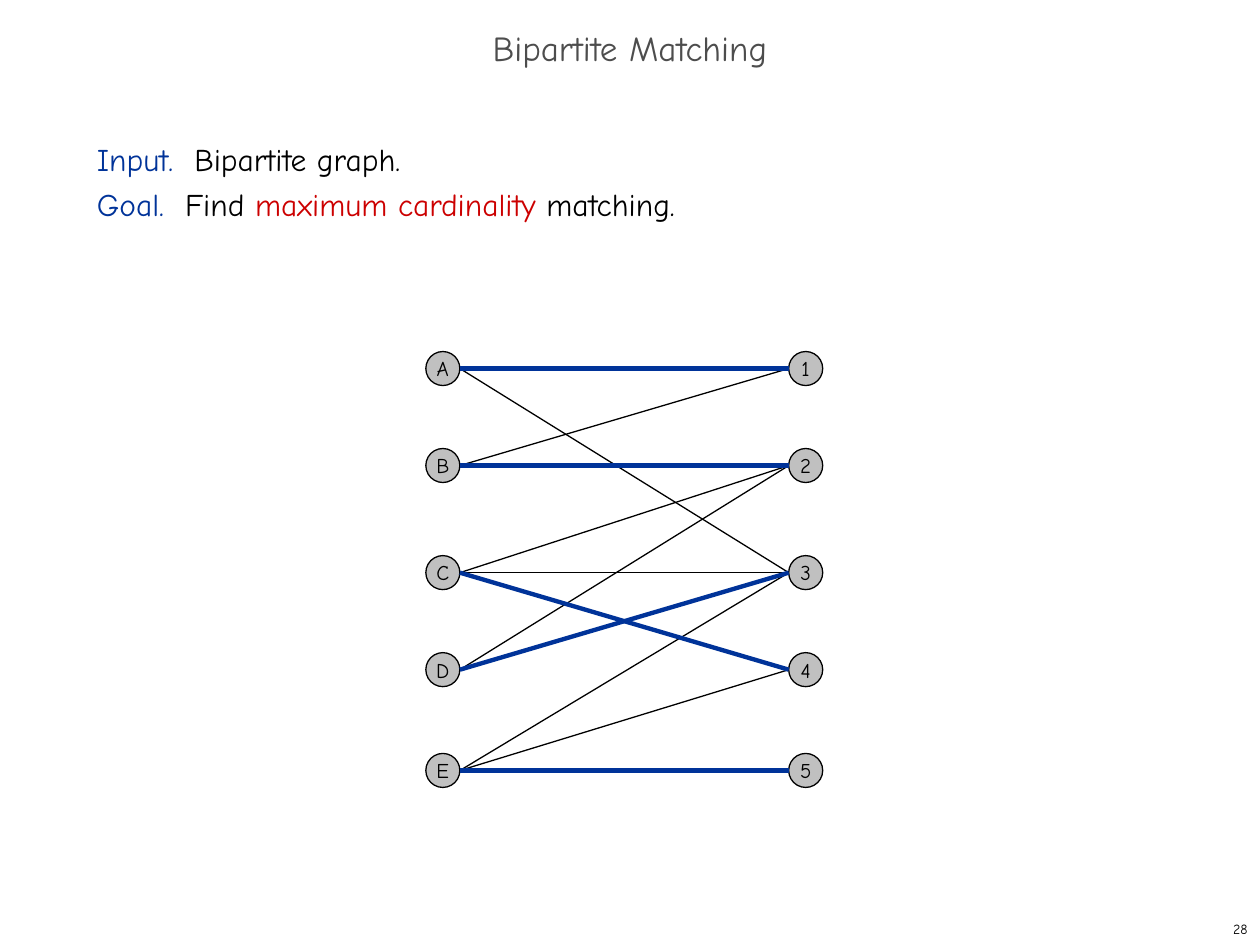
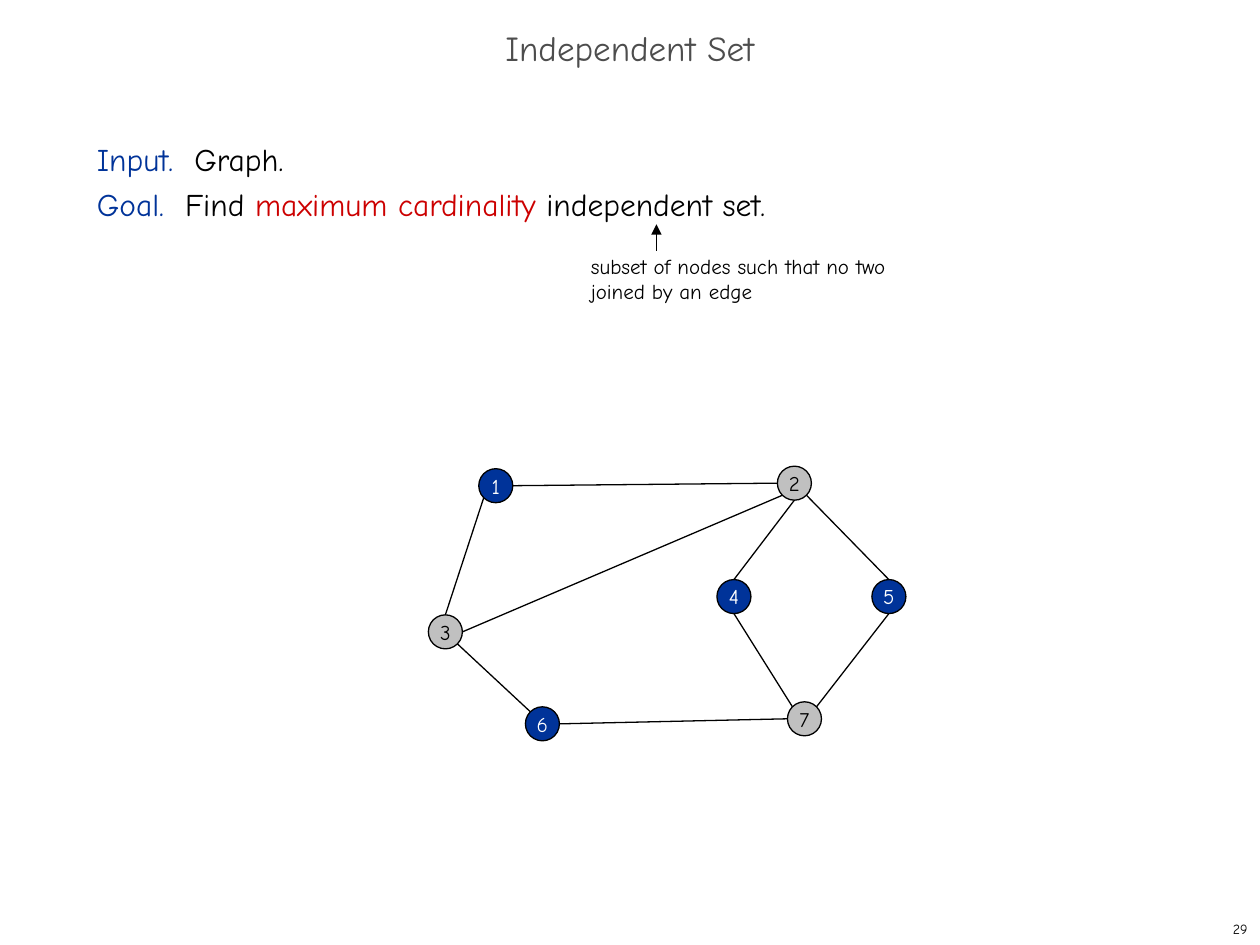
from lxml import etree
from pptx import Presentation
from pptx.dml.color import RGBColor
from pptx.enum.shapes import MSO_CONNECTOR, MSO_SHAPE
from pptx.enum.text import MSO_ANCHOR, PP_ALIGN
from pptx.oxml.ns import qn
from pptx.util import Inches, Pt

FONT = "Comic Neue"
BLACK = RGBColor(0x00, 0x00, 0x00)
WHITE = RGBColor(0xFF, 0xFF, 0xFF)
BLUE = RGBColor(0x00, 0x33, 0x99)
RED = RGBColor(0xCC, 0x00, 0x00)
DARK_GRAY = RGBColor(0x4D, 0x4D, 0x4D)
NODE_GRAY = RGBColor(0xC0, 0xC0, 0xC0)

NODE_SIZE = 0.27
DIAGONAL = 0.71
SITES = {
    "top": (0, -1),
    "left": (-1, 0),
    "bottom": (0, 1),
    "right": (1, 0),
    "top left": (-DIAGONAL, -DIAGONAL),
    "top right": (DIAGONAL, -DIAGONAL),
    "bottom left": (-DIAGONAL, DIAGONAL),
    "bottom right": (DIAGONAL, DIAGONAL),
}


def style_runs(para, size, color):
    for span in para.runs:
        span.font.name = FONT
        span.font.size = Pt(size)
        span.font.color.rgb = color


def add_text(page, left, top, width, height, text, size, color=BLACK,
             align=PP_ALIGN.LEFT, anchor=MSO_ANCHOR.MIDDLE):
    box = page.shapes.add_textbox(Inches(left), Inches(top), Inches(width), Inches(height))
    frame = box.text_frame
    frame.word_wrap = True
    frame.vertical_anchor = anchor
    frame.text = text
    for para in frame.paragraphs:
        para.alignment = align
        style_runs(para, size, color)
    return frame


def add_problem(page, graph_kind, target):
    frame = add_text(page, 0.67, 1, 8.58, 5.92, "", 18, anchor=MSO_ANCHOR.TOP)
    lines = [
        [("Input.  ", BLUE), (graph_kind, BLACK)],
        [("Goal.  ", BLUE), ("Find ", BLACK), ("maximum cardinality", RED), (target, BLACK)],
    ]
    for index, line in enumerate(lines):
        para = frame.add_paragraph() if index else frame.paragraphs[0]
        para.line_spacing = Pt(26)
        for text, color in line:
            span = para.add_run()
            span.text = text
            span.font.name = FONT
            span.font.size = Pt(18)
            span.font.color.rgb = color


def add_page(deck, title, number, graph_kind, target):
    page = deck.slides.add_slide(deck.slide_layouts[6])
    frame = add_text(page, 0, 0.17, 10, 0.5, title, 20, DARK_GRAY, PP_ALIGN.CENTER)
    frame.paragraphs[0].line_spacing = 0.7
    add_problem(page, graph_kind, target)
    add_text(page, 7.92, 7.25, 2.08, 0.25, str(number), 8, align=PP_ALIGN.RIGHT)
    return page


def add_node(page, label, position, chosen=False):
    left, top = position
    node = page.shapes.add_shape(MSO_SHAPE.OVAL, Inches(left), Inches(top),
                                 Inches(NODE_SIZE), Inches(NODE_SIZE))
    node.shadow.inherit = False
    node.fill.solid()
    node.fill.fore_color.rgb = BLUE if chosen else NODE_GRAY
    node.line.color.rgb = BLACK
    node.line.width = Pt(0.75)
    frame = node.text_frame
    frame.word_wrap = False
    frame.vertical_anchor = MSO_ANCHOR.MIDDLE
    frame.text = label
    frame.paragraphs[0].alignment = PP_ALIGN.CENTER
    style_runs(frame.paragraphs[0], 12, WHITE if chosen else BLACK)


def site_point(position, site):
    radius = NODE_SIZE / 2
    return [start + radius * (1 + offset) for start, offset in zip(position, SITES[site])]


def add_line(page, start, end, color=BLACK, width=0.75, arrow=False):
    ends = [Inches(value) for value in (*start, *end)]
    line = page.shapes.add_connector(MSO_CONNECTOR.STRAIGHT, *ends)
    line.line.color.rgb = color
    line.line.width = Pt(width)
    if arrow:
        etree.SubElement(line.line._get_or_add_ln(), qn("a:tailEnd"), type="triangle")
    etree.SubElement(line._element.spPr, qn("a:effectLst"))


def add_bipartite_graph(page):
    row_tops = [2.79, 3.56, 4.41, 5.18, 5.98]
    nodes = {}
    for column_left, labels in ((3.38, "ABCDE"), (6.26, "12345")):
        for label, top in zip(labels, row_tops):
            nodes[label] = (column_left, top)
            add_node(page, label, nodes[label])
    other_edges = ["A3", "B1", "C2", "C3", "D2", "E3", "E4"]
    matching = ["A1", "B2", "C4", "D3", "E5"]
    for edges, color, width in ((other_edges, BLACK, 0.75), (matching, BLUE, 2.5)):
        for source, target in edges:
            add_line(page, site_point(nodes[source], "right"),
                     site_point(nodes[target], "left"), color, width)


def add_independent_set_graph(page):
    nodes = {
        "1": (3.8, 3.72), "2": (6.17, 3.7), "3": (3.4, 4.88), "4": (5.69, 4.6),
        "5": (6.92, 4.6), "6": (4.17, 5.61), "7": (6.25, 5.57),
    }
    edges = [
        ("1", "right", "2", "left"),
        ("1", "bottom left", "3", "top"),
        ("2", "bottom left", "3", "right"),
        ("2", "bottom", "4", "top"),
        ("2", "bottom right", "5", "top"),
        ("3", "bottom right", "6", "top left"),
        ("4", "bottom", "7", "top left"),
        ("5", "bottom", "7", "top right"),
        ("6", "right", "7", "left"),
    ]
    for source, source_site, target, target_site in edges:
        add_line(page, site_point(nodes[source], source_site),
                 site_point(nodes[target], target_site))
    for label, position in nodes.items():
        add_node(page, label, position, chosen=label in "1456")


def add_definition(page):
    frame = add_text(page, 4.69, 2.01, 2.4, 0.4,
                     "subset of nodes such that no two\vjoined by an edge",
                     12, anchor=MSO_ANCHOR.TOP)
    frame.margin_left = frame.margin_right = 0
    frame.margin_top = frame.margin_bottom = 0
    add_line(page, (5.21, 1.99), (5.21, 1.78), arrow=True)


def main():
    deck = Presentation()
    deck.slide_width, deck.slide_height = Inches(10), Inches(7.5)
    page = add_page(deck, "Bipartite Matching", 28, "Bipartite graph.", " matching.")
    add_bipartite_graph(page)
    page = add_page(deck, "Independent Set", 29, "Graph.", " independent set.")
    add_independent_set_graph(page)
    add_definition(page)
    deck.save("out.pptx")


if __name__ == "__main__":
    main()
